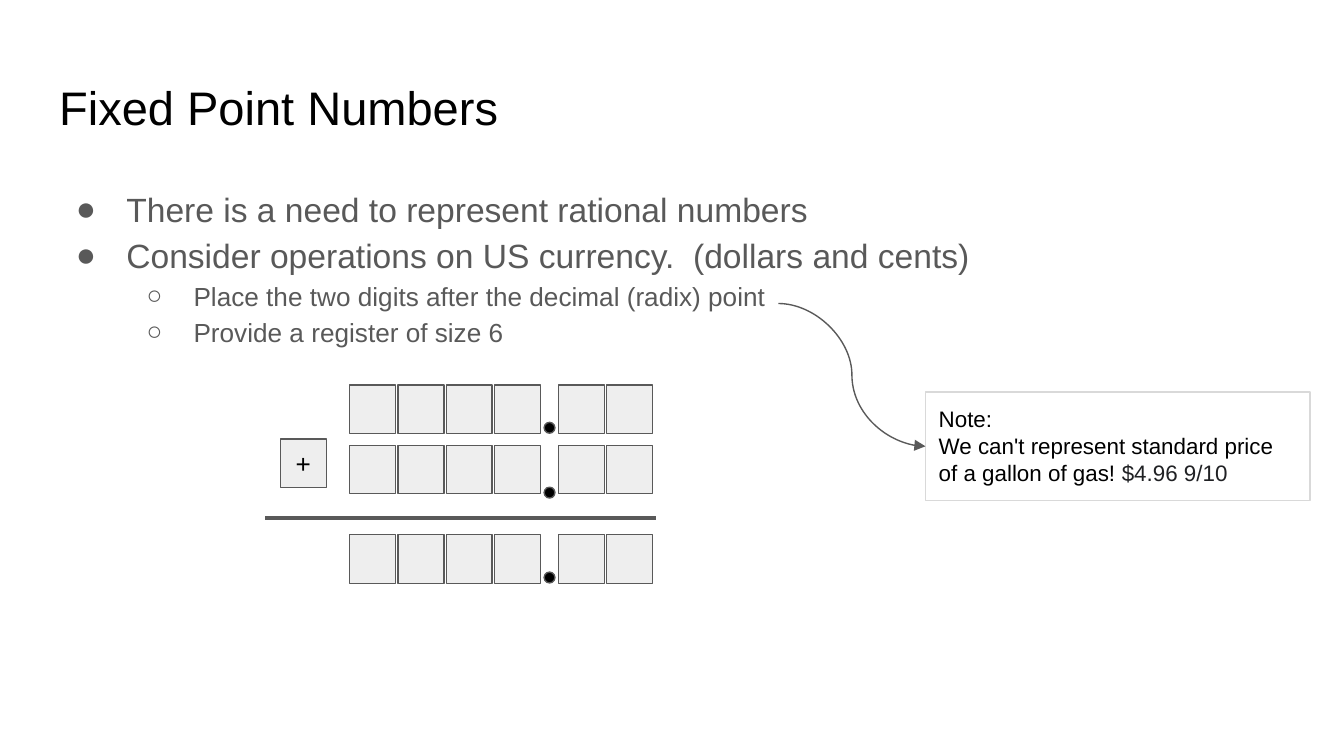
from dataclasses import dataclass

from lxml import etree
from pptx import Presentation
from pptx import util as u
from pptx.dml.color import RGBColor
from pptx.enum import shapes, text
from pptx.oxml import ns

HUES = {"ink": "000000", "gray": "595959", "cell": "EEEEEE",
        "edge": "D9D9D9", "price": "202124"}
FACE = "Arial"
PAD = 7.2
WIDE, HIGH, STEP = 24.6, 26, 25.85
WHOLE, PART = 187.4, 299.2
DOT, DOT_X = 5.8, 291.5


@dataclass
class Item:
    words: str
    level: int = 0


@dataclass
class Look:
    mark: str
    size: float
    left: float
    hang: float


@dataclass
class Row:
    top: float
    dot: float


LOOKS = [Look("●", 18, 36, 27), Look("○", 14, 72, 25.2)]
ITEMS = [
    Item("There is a need to represent rational numbers"),
    Item("Consider operations on US currency.  (dollars and cents)"),
    Item("Place the two digits after the decimal (radix) point", 1),
    Item("Provide a register of size 6", 1),
]
ROWS = [Row(206.2, 226.3), Row(238.5, 261), Row(286.5, 306.5)]


def hue(name: str) -> RGBColor:
    return RGBColor.from_string(HUES[name])


def style(para, size: float, name: str = "ink") -> None:
    para.font.name = FACE
    para.font.size = u.Pt(size)
    para.font.color.rgb = hue(name)


def place(shape, x: float, y: float, w: float, h: float) -> None:
    shape.left, shape.top = u.Pt(x), u.Pt(y)
    shape.width, shape.height = u.Pt(w), u.Pt(h)


def frame(shape, anchor=text.MSO_ANCHOR.TOP):
    tf = shape.text_frame
    tf.auto_size = text.MSO_AUTO_SIZE.NONE
    tf.word_wrap = True
    tf.vertical_anchor = anchor
    tf.margin_left = tf.margin_right = u.Pt(PAD)
    tf.margin_top = tf.margin_bottom = u.Pt(PAD)
    return tf


def bullet(para, item: Item) -> None:
    look = LOOKS[item.level]
    para.text = item.words
    para.level = item.level
    para.line_spacing = 1.15
    para.space_before = para.space_after = u.Pt(0)
    props = para._p.get_or_add_pPr()
    props.set("marL", str(u.Pt(look.left)))
    props.set("indent", str(-u.Pt(look.hang)))
    tint = etree.SubElement(props, ns.qn("a:buClr"))
    etree.SubElement(tint, ns.qn("a:srgbClr"), val=HUES["gray"])
    etree.SubElement(props, ns.qn("a:buFont"), typeface=FACE)
    etree.SubElement(props, ns.qn("a:buChar"), char=look.mark)
    style(para, look.size, "gray")


def form(tree, kind, x: float, y: float, w: float, h: float,
         fill: str = "", line: str = "gray"):
    shape = tree.add_shape(kind, u.Pt(x), u.Pt(y), u.Pt(w), u.Pt(h))
    shape.shadow.inherit = False
    if fill:
        shape.fill.solid()
        shape.fill.fore_color.rgb = hue(fill)
    else:
        shape.fill.background()
    shape.line.color.rgb = hue(line)
    shape.line.width = u.Pt(0.75)
    return shape


def cell(tree, x: float, y: float):
    return form(tree, shapes.MSO_SHAPE.RECTANGLE, x, y, WIDE, HIGH, "cell")


def digits(tree, x: float, y: float, count: int) -> None:
    group = tree.add_group_shape()
    for i in range(count):
        cell(group.shapes, x + i * STEP, y)


def wire(tree, kind, x: float, y: float, x2: float, y2: float, width: float):
    line = tree.add_connector(kind, u.Pt(x), u.Pt(y), u.Pt(x2), u.Pt(y2))
    line.line.color.rgb = hue("gray")
    line.line.width = u.Pt(width)
    etree.SubElement(line._element.spPr, ns.qn("a:effectLst"))
    return line


def main() -> None:
    deck = Presentation()
    deck.slide_width, deck.slide_height = u.Pt(720), u.Pt(405)
    slide = deck.slides.add_slide(deck.slide_layouts[1])
    tree = slide.shapes

    title = tree.title
    place(title, 24.5, 35, 671, 45)
    head = frame(title).paragraphs[0]
    head.text = "Fixed Point Numbers"
    head.alignment = text.PP_ALIGN.LEFT
    style(head, 25.2)

    body = slide.placeholders[1]
    place(body, 24.5, 90.7, 671, 269)
    tf = frame(body)
    for i, item in enumerate(ITEMS):
        bullet(tf.add_paragraph() if i else tf.paragraphs[0], item)

    for row in ROWS:
        digits(tree, WHOLE, row.top, 4)
        digits(tree, PART, row.top, 2)
        form(tree, shapes.MSO_SHAPE.OVAL, DOT_X, row.dot, DOT, DOT, "ink")

    wire(tree, shapes.MSO_CONNECTOR.STRAIGHT, 142, 277.4, 351.5, 277.4, 2.25)
    plus = cell(tree, 150.2, 235.2)
    sign = frame(plus, text.MSO_ANCHOR.MIDDLE).paragraphs[0]
    sign.text = "+"
    sign.alignment = text.PP_ALIGN.CENTER
    style(sign, 14)

    note = form(tree, shapes.MSO_SHAPE.RECTANGLE, 495.8, 210, 206, 58.2, line="edge")
    tf = frame(note)
    label, claim = tf.paragraphs[0], tf.add_paragraph()
    label.text = "Note:"
    claim.add_run().text = "We can't represent standard price of a gallon of gas! "
    price = claim.add_run()
    price.text = "$4.96 9/10"
    for para in (label, claim):
        para.alignment = text.PP_ALIGN.LEFT
        style(para, 12)
    price.font.color.rgb = hue("price")

    curve = wire(tree, shapes.MSO_CONNECTOR.CURVE, 417, 162.6, 495.8, 239.1, 0.75)
    curve.end_connect(note, 1)
    etree.SubElement(curve.line._get_or_add_ln(), ns.qn("a:tailEnd"), type="triangle")

    deck.save("out.pptx")


if __name__ == "__main__":
    main()
